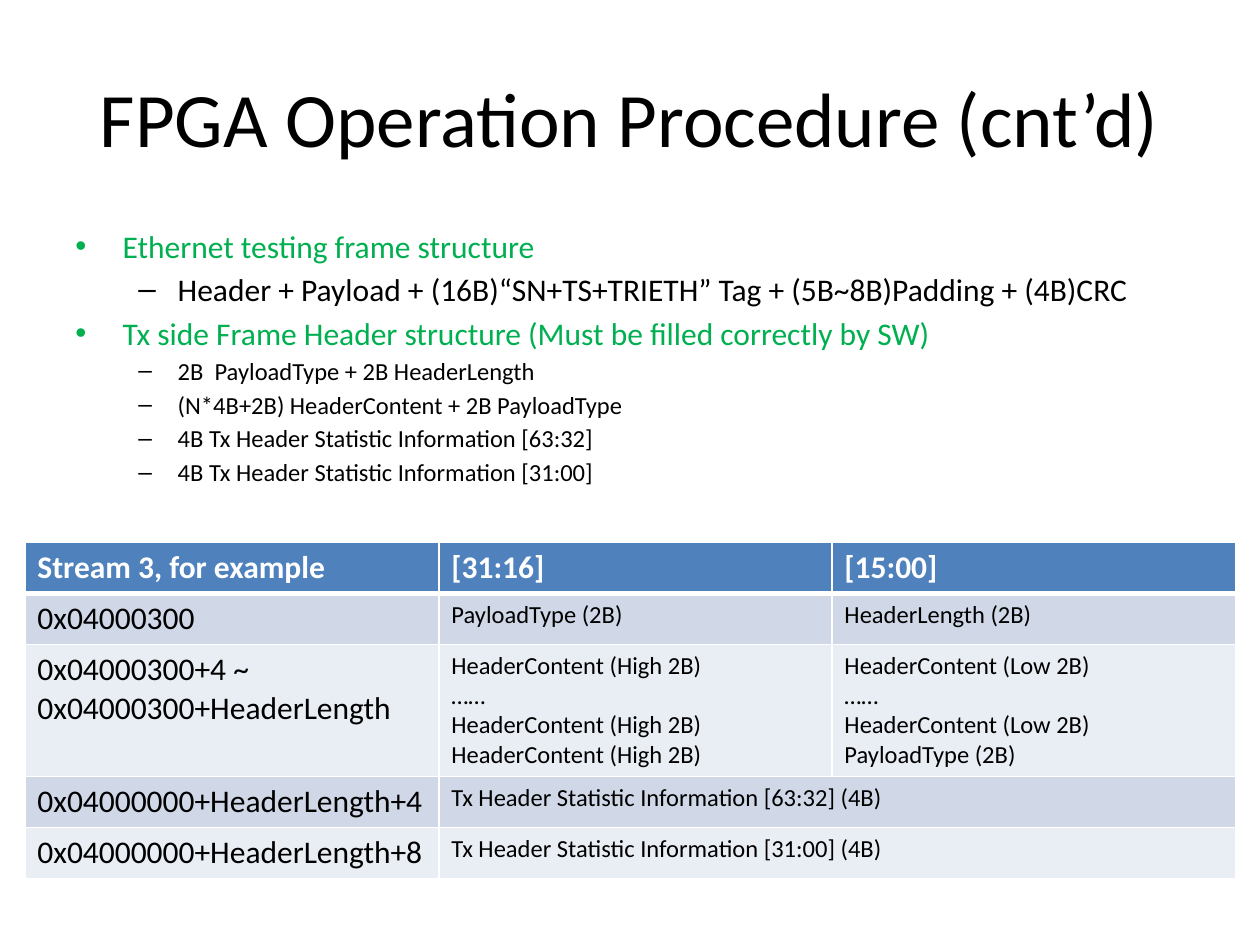
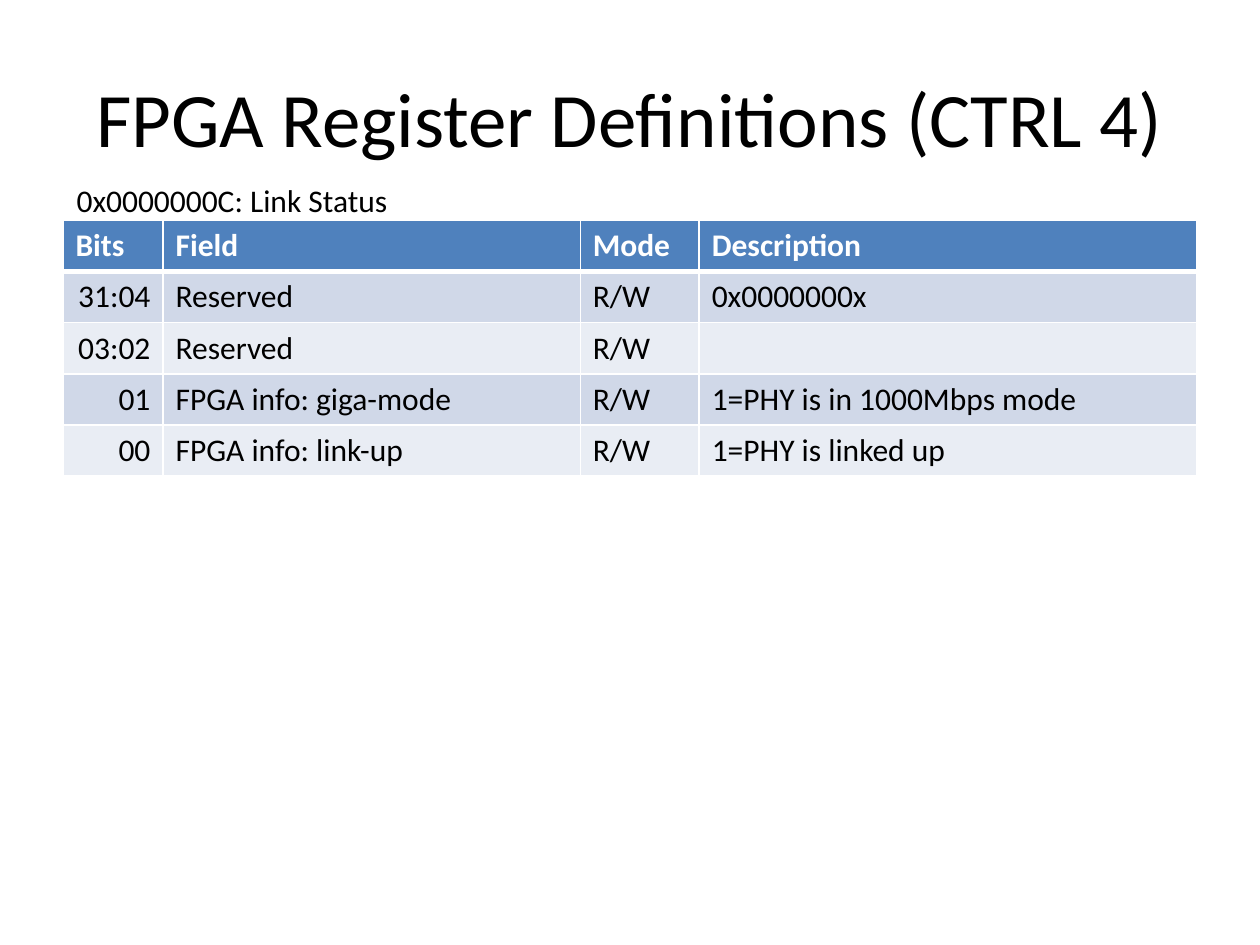
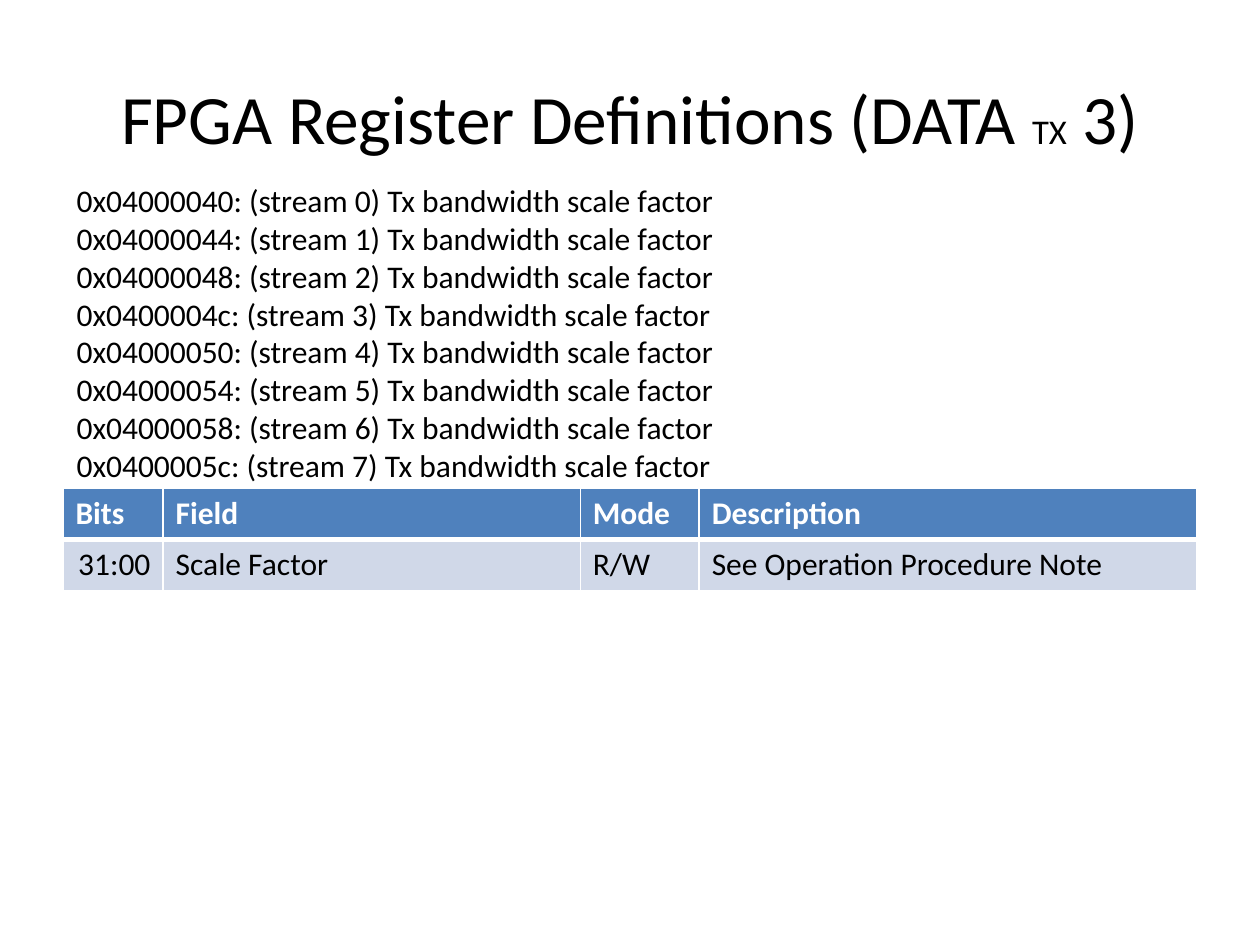
from dataclasses import dataclass

from lxml import etree
from pptx import Presentation
from pptx.dml.color import RGBColor
from pptx.enum.text import MSO_ANCHOR, MSO_AUTO_SIZE, PP_ALIGN
from pptx.oxml.ns import qn
from pptx.util import Pt


@dataclass(frozen=True)
class Theme:
    font: str = "Calibri"
    text: str = "000000"
    inverse: str = "FFFFFF"
    topic: str = "00B050"
    header: str = "4F81BD"
    bands: tuple = ("D0D8E8", "E9EDF4")
    title_size: float = 44
    small_title_size: float = 39.6
    title_note_size: float = 19.8
    body_size: float = 18
    detail_size: float = 14
    space_ratio: float = 0.18
    grid_line: float = 1
    header_line: float = 3
    row_height: float = 29.2


class Deck:
    """Holds the theme and the slide being built."""

    def __init__(self, theme):
        self.theme = theme
        self.presentation = Presentation()
        self.presentation.slide_width = Pt(720)
        self.presentation.slide_height = Pt(540)
        self.slide = None

    def run(self, paragraph, text, size, color=None, bold=False):
        run = paragraph.add_run()
        run.text = text
        run.font.name = self.theme.font
        run.font.size = Pt(size)
        run.font.bold = bold
        run.font.color.rgb = RGBColor.from_string(color or self.theme.text)

    def paragraphs(self, frame, count):
        """Yield the existing first paragraph, then new ones."""
        for index in range(count):
            yield frame.add_paragraph() if index else frame.paragraphs[0]

    def new_slide(self, *title_runs):
        """Start a slide; each title run is a (text, size) pair."""
        self.slide = self.presentation.slides.add_slide(
            self.presentation.slide_layouts[5])
        title = self.slide.shapes.title
        title.left, title.top = Pt(36), Pt(21.6)
        title.width, title.height = Pt(648), Pt(90)
        frame = title.text_frame
        frame.auto_size = MSO_AUTO_SIZE.NONE
        frame.vertical_anchor = MSO_ANCHOR.MIDDLE
        frame.paragraphs[0].alignment = PP_ALIGN.CENTER
        for text, size in title_runs:
            self.run(frame.paragraphs[0], text, size)

    def text_box(self, left, top, width, height, wrap):
        frame = self.slide.shapes.add_textbox(
            Pt(left), Pt(top), Pt(width), Pt(height)).text_frame
        frame.word_wrap = wrap
        frame.auto_size = (MSO_AUTO_SIZE.NONE if wrap
                           else MSO_AUTO_SIZE.SHAPE_TO_FIT_TEXT)
        return frame

    def outline(self, items, left, top, width, height):
        """Bulleted list of (level, text, size) items."""
        frame = self.text_box(left, top, width, height, wrap=True)
        levels = ((27, "•", self.theme.topic), (58.5, "–", self.theme.text))
        hangs = (27, 22.5)
        for paragraph, (level, text, size) in zip(
                self.paragraphs(frame, len(items)), items):
            margin, bullet, color = levels[level]
            paragraph.level = level
            paragraph.space_before = Pt(size * self.theme.space_ratio)
            self.run(paragraph, text, size, color)
            properties = paragraph._p.get_or_add_pPr()
            properties.set("marL", str(Pt(margin)))
            properties.set("indent", str(-Pt(hangs[level])))
            etree.SubElement(properties, qn("a:buFont"), typeface="Arial")
            etree.SubElement(properties, qn("a:buChar"), char=bullet)

    def address_lines(self, lines, width, height):
        frame = self.text_box(36.72, 100, width, height, wrap=False)
        for paragraph, line in zip(self.paragraphs(frame, len(lines)), lines):
            self.run(paragraph, line, self.theme.body_size)

    def cell_borders(self, cell, row):
        thick, thin = self.theme.header_line, self.theme.grid_line
        widths = {"lnL": thin, "lnR": thin,
                  "lnT": thick if row == 1 else thin,
                  "lnB": thick if row == 0 else thin}
        properties = cell._tc.get_or_add_tcPr()
        for position, (side, width) in enumerate(widths.items()):
            line = etree.Element(qn(f"a:{side}"), w=str(Pt(width)))
            fill = etree.SubElement(line, qn("a:solidFill"))
            etree.SubElement(fill, qn("a:srgbClr"), val=self.theme.inverse)
            properties.insert(position, line)

    def table(self, rows, left, top, widths, heights=None,
              sizes=None, right_aligned=()):
        """Banded table; a None cell joins the cell to its left."""
        theme = self.theme
        heights = heights or [theme.row_height] * len(rows)
        sizes = sizes or [theme.body_size] * len(widths)
        table = self.slide.shapes.add_table(
            len(rows), len(widths), Pt(left), Pt(top),
            Pt(sum(widths)), Pt(sum(heights))).table
        for column, width in zip(table.columns, widths):
            column.width = Pt(width)
        for row, height in zip(table.rows, heights):
            row.height = Pt(height)
        for r, values in enumerate(rows):
            is_header = r == 0
            fill = theme.header if is_header else theme.bands[(r - 1) % 2]
            for c, value in enumerate(values):
                cell = table.cell(r, c)
                cell.fill.solid()
                cell.fill.fore_color.rgb = RGBColor.from_string(fill)
                self.cell_borders(cell, r)
                if value is None:
                    table.cell(r, c - 1).merge(cell)
                    continue
                lines = value.split("\n") if value else []
                for paragraph, line in zip(
                        self.paragraphs(cell.text_frame, len(lines)), lines):
                    if c in right_aligned and not is_header:
                        paragraph.alignment = PP_ALIGN.RIGHT
                    self.run(paragraph, line,
                             theme.body_size if is_header else sizes[c],
                             theme.inverse if is_header else theme.text,
                             bold=is_header)

    def register_table(self, fields, top):
        header = ("Bits", "Field", "Mode", "Description")
        self.table([header, *fields], 36, top, (57.2, 238.4, 68, 284.4),
                   right_aligned=(0,))


def main():
    theme = Theme()
    deck = Deck(theme)
    body, detail = theme.body_size, theme.detail_size

    # Frame structure
    deck.new_slide(("FPGA Operation Procedure (cnt’d)", theme.title_size))
    deck.outline([
        (0, "Ethernet testing frame structure", body),
        (1, "Header + Payload + (16B)“SN+TS+TRIETH” Tag + (5B~8B)Padding + (4B)CRC", body),
        (0, "Tx side Frame Header structure (Must be filled correctly by SW)", body),
        (1, "2B  PayloadType + 2B HeaderLength", detail),
        (1, "(N*4B+2B) HeaderContent + 2B PayloadType", detail),
        (1, "4B Tx Header Statistic Information [63:32]", detail),
        (1, "4B Tx Header Statistic Information [31:00]", detail),
    ], 36, 126, 648, 393)
    high, low = "HeaderContent (High 2B)", "HeaderContent (Low 2B)"
    header_map = [
        ("Stream 3, for example", "[31:16]", "[15:00]"),
        ("0x04000300", "PayloadType (2B)", "HeaderLength (2B)"),
        ("0x04000300+4 ~ 0x04000300+HeaderLength",
         f"{high}\n……\n{high}\n{high}",
         f"{low}\n……\n{low}\nPayloadType (2B)"),
        ("0x04000000+HeaderLength+4",
         "Tx Header Statistic Information [63:32] (4B)", None),
        ("0x04000000+HeaderLength+8",
         "Tx Header Statistic Information [31:00] (4B)", None),
    ]
    single = theme.row_height
    deck.table(header_map, 14.2, 310, (236.6, 224.6, 230.6),
               heights=(single, single, 75, single, single),
               sizes=(body, detail, detail))

    # Link status register
    deck.new_slide(("FPGA Register Definitions (CTRL 4)", theme.title_size))
    deck.register_table([
        ("31:04", "Reserved", "R/W", "0x0000000x"),
        ("03:02", "Reserved", "R/W", ""),
        ("01", "FPGA info: giga-mode", "R/W", "1=PHY is in 1000Mbps mode"),
        ("00", "FPGA info: link-up", "R/W", "1=PHY is linked up"),
    ], 126)
    deck.address_lines(["0x0000000C: Link Status"], 194.4, 29)

    # Bandwidth scale factor registers
    deck.new_slide(("FPGA Register Definitions (DATA ", theme.small_title_size),
                   ("TX", theme.title_note_size),
                   (" 3)", theme.small_title_size))
    deck.register_table(
        [("31:00", "Scale Factor", "R/W", "See Operation Procedure Note")], 279)
    deck.address_lines(
        [f"0x{0x04000040 + 4 * stream:08x}: (stream {stream}) Tx bandwidth scale factor"
         for stream in range(8)], 382.4, 181.4)

    deck.presentation.save("out.pptx")


if __name__ == "__main__":
    main()
